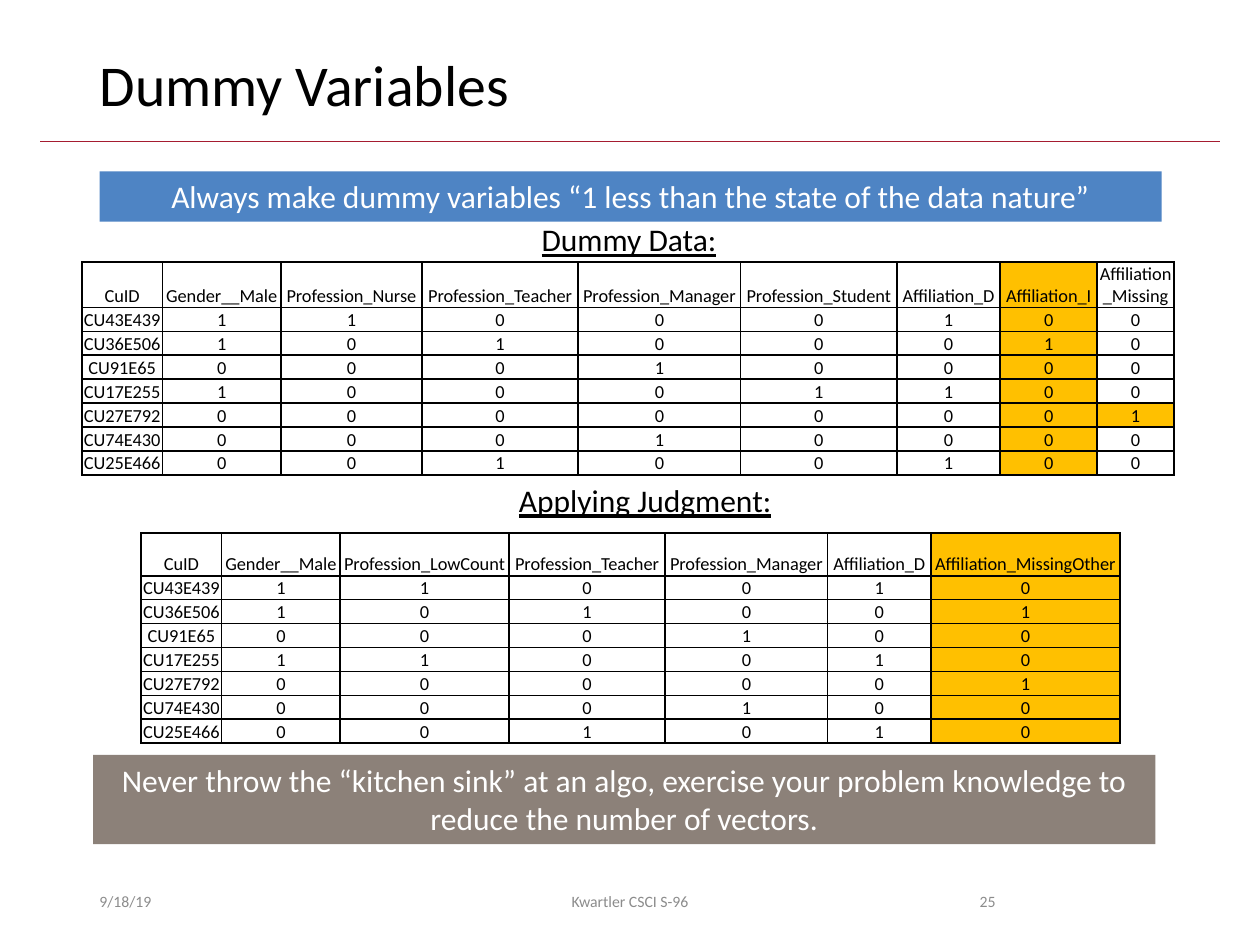
from lxml import etree
from pptx import Presentation
from pptx.dml.color import RGBColor
from pptx.enum.shapes import MSO_CONNECTOR, MSO_SHAPE
from pptx.enum.text import MSO_ANCHOR, MSO_AUTO_SIZE, PP_ALIGN
from pptx.oxml.ns import qn
from pptx.util import Inches, Pt

LEFT, CENTER, RIGHT = PP_ALIGN.LEFT, PP_ALIGN.CENTER, PP_ALIGN.RIGHT
TOP, MIDDLE, BOTTOM = MSO_ANCHOR.TOP, MSO_ANCHOR.MIDDLE, MSO_ANCHOR.BOTTOM
STRAIGHT, RECTANGLE = MSO_CONNECTOR.STRAIGHT, MSO_SHAPE.RECTANGLE
NO_AUTOFIT = MSO_AUTO_SIZE.NONE

FONT = "Calibri"
COLORS = {
    "text": "000000",
    "white": "FFFFFF",
    "footer": "8C8C8C",
    "rule": "A51C30",
    "blue": "4E84C4",
    "taupe": "8C8179",
    "highlight": "FFC000",
}

# Table contents: one flag per dummy variable
DUMMY_HEADER = ["CuID", "Gender__Male", "Profession_Nurse", "Profession_Teacher",
                "Profession_Manager", "Profession_Student", "Affiliation_D",
                "Affiliation_I", "Affiliation_Missing"]
DUMMY_FLAGS = {
    "CU43E439": (1, 1, 0, 0, 0, 1, 0, 0),
    "CU36E506": (1, 0, 1, 0, 0, 0, 1, 0),
    "CU91E65": (0, 0, 0, 1, 0, 0, 0, 0),
    "CU17E255": (1, 0, 0, 0, 1, 1, 0, 0),
    "CU27E792": (0, 0, 0, 0, 0, 0, 0, 1),
    "CU74E430": (0, 0, 0, 1, 0, 0, 0, 0),
    "CU25E466": (0, 0, 1, 0, 0, 1, 0, 0),
}
DUMMY_WIDTHS = [0.64, 0.94, 1.12, 1.24, 1.29, 1.24, 0.82, 0.77, 0.61]

JUDGMENT_HEADER = ["CuID", "Gender__Male", "Profession_LowCount", "Profession_Teacher",
                   "Profession_Manager", "Affiliation_D", "Affiliation_MissingOther"]
JUDGMENT_WIDTHS = [0.64, 0.94, 1.34, 1.24, 1.29, 0.82, 1.5]
HEADER_HEIGHT, ROW_HEIGHT = 0.34, 0.19


def merge_rare_levels(flags):
    """Join nurse with student, and affiliation I with missing."""
    male, nurse, teacher, manager, student, aff_d, aff_i, missing = flags
    return male, nurse + student, teacher, manager, aff_d, aff_i + missing


class SlideBuilder:
    def __init__(self, presentation):
        self.slide = presentation.slides.add_slide(presentation.slide_layouts[5])

    def color(self, name):
        return RGBColor.from_string(COLORS[name])

    def set_text(self, text_frame, text, size, color, align=LEFT, underline=None):
        text_frame.text = text
        paragraph = text_frame.paragraphs[0]
        paragraph.alignment = align
        font = paragraph.runs[0].font
        font.name, font.size, font.underline = FONT, Pt(size), underline
        font.color.rgb = self.color(color)
        return paragraph

    def title(self, text, left, top, width, height):
        title = self.slide.shapes.title
        title.left, title.top = Inches(left), Inches(top)
        title.width, title.height = Inches(width), Inches(height)
        title.text_frame.auto_size = NO_AUTOFIT
        title.text_frame.vertical_anchor = TOP
        self.set_text(title.text_frame, text, 33, "text").line_spacing = 0.9

    def rule(self, left, right, y):
        line = self.slide.shapes.add_connector(
            STRAIGHT, Inches(left), Inches(y), Inches(right), Inches(y))
        line.line.color.rgb = self.color("rule")
        line.line.width = Pt(0.5)
        etree.SubElement(line._element.spPr, qn("a:effectLst"))

    def banner(self, text, fill, left, top, width, height):
        shape = self.slide.shapes.add_shape(
            RECTANGLE, Inches(left), Inches(top), Inches(width), Inches(height))
        shape.shadow.inherit = False
        shape.fill.solid()
        shape.fill.fore_color.rgb = self.color(fill)
        shape.line.fill.background()
        shape.text_frame.word_wrap = True
        shape.text_frame.vertical_anchor = TOP
        self.set_text(shape.text_frame, text, 18, "white", CENTER)

    def text_box(self, left, top, width, height, anchor, wrap):
        box = self.slide.shapes.add_textbox(
            Inches(left), Inches(top), Inches(width), Inches(height))
        box.text_frame.word_wrap = wrap
        box.text_frame.vertical_anchor = anchor
        return box.text_frame

    def heading(self, text, left, top, width):
        frame = self.text_box(left, top, width, 0.4, TOP, False)
        self.set_text(frame, text, 18, "text", underline=True)

    def footer(self, text, left, width, align):
        frame = self.text_box(left, 6.95, width, 0.4, MIDDLE, True)
        self.set_text(frame, text, 9, "footer", align)

    def border(self, cell):
        properties = cell._tc.get_or_add_tcPr()
        for side in ("a:lnL", "a:lnR", "a:lnT", "a:lnB"):
            line = etree.SubElement(properties, qn(side), w=str(Pt(1)))
            fill = etree.SubElement(line, qn("a:solidFill"))
            etree.SubElement(fill, qn("a:srgbClr"), val=COLORS["text"])

    def table(self, rows, widths, left, top, highlighted):
        height = HEADER_HEIGHT + ROW_HEIGHT * (len(rows) - 1)
        table = self.slide.shapes.add_table(
            len(rows), len(widths), Inches(left), Inches(top),
            Inches(sum(widths)), Inches(height)).table
        table.first_row = table.horz_banding = False
        for column, width in zip(table.columns, widths):
            column.width = Inches(width)
        for row_index, values in enumerate(rows):
            table.rows[row_index].height = Inches(ROW_HEIGHT if row_index else HEADER_HEIGHT)
            for column_index, value in enumerate(values):
                cell = table.cell(row_index, column_index)
                cell.margin_left = cell.margin_right = cell.margin_top = Inches(0.01)
                cell.margin_bottom = 0
                cell.vertical_anchor = BOTTOM
                self.set_text(cell.text_frame, str(value), 10.5, "text", CENTER)
                self.border(cell)
                if (row_index, column_index) in highlighted:
                    cell.fill.solid()
                    cell.fill.fore_color.rgb = self.color("highlight")
                else:
                    cell.fill.background()


def main():
    presentation = Presentation()
    presentation.slide_width, presentation.slide_height = Inches(10), Inches(7.5)
    builder = SlideBuilder(presentation)

    # Title and rule
    builder.rule(0.32, 9.68, 1.12)
    builder.title("Dummy Variables", 0.69, 0.4, 8.62, 0.65)

    # Footer
    builder.footer("9/18/19", 0.69, 2.25, LEFT)
    builder.footer("25", 7.06, 0.94, RIGHT)
    builder.footer("Kwartler CSCI S-96", 3.31, 3.38, CENTER)

    # Full set of dummy variables
    builder.banner("Always make dummy variables “1 less than the state of the data nature”",
                   "blue", 0.79, 1.36, 8.43, 0.4)
    builder.heading("Dummy Data:", 4.2, 1.7, 1.61)
    dummy_rows = [DUMMY_HEADER] + [[key, *flags] for key, flags in DUMMY_FLAGS.items()]
    affiliation_i = {(row, 7) for row in range(len(dummy_rows))}
    builder.table(dummy_rows, DUMMY_WIDTHS, 0.65, 2.08, affiliation_i | {(5, 8)})

    # Reduced set after judgment
    builder.heading("Applying Judgment:", 4.02, 3.77, 2.29)
    judgment_rows = [JUDGMENT_HEADER] + [
        [key, *merge_rare_levels(flags)] for key, flags in DUMMY_FLAGS.items()]
    missing_other = {(row, 6) for row in range(len(judgment_rows))}
    builder.table(judgment_rows, JUDGMENT_WIDTHS, 1.12, 4.23, missing_other)
    builder.banner("Never throw the “kitchen sink” at an algo, exercise your problem "
                   "knowledge to reduce the number of vectors.",
                   "taupe", 0.74, 5.99, 8.43, 0.71)

    presentation.save("out.pptx")


if __name__ == "__main__":
    main()
